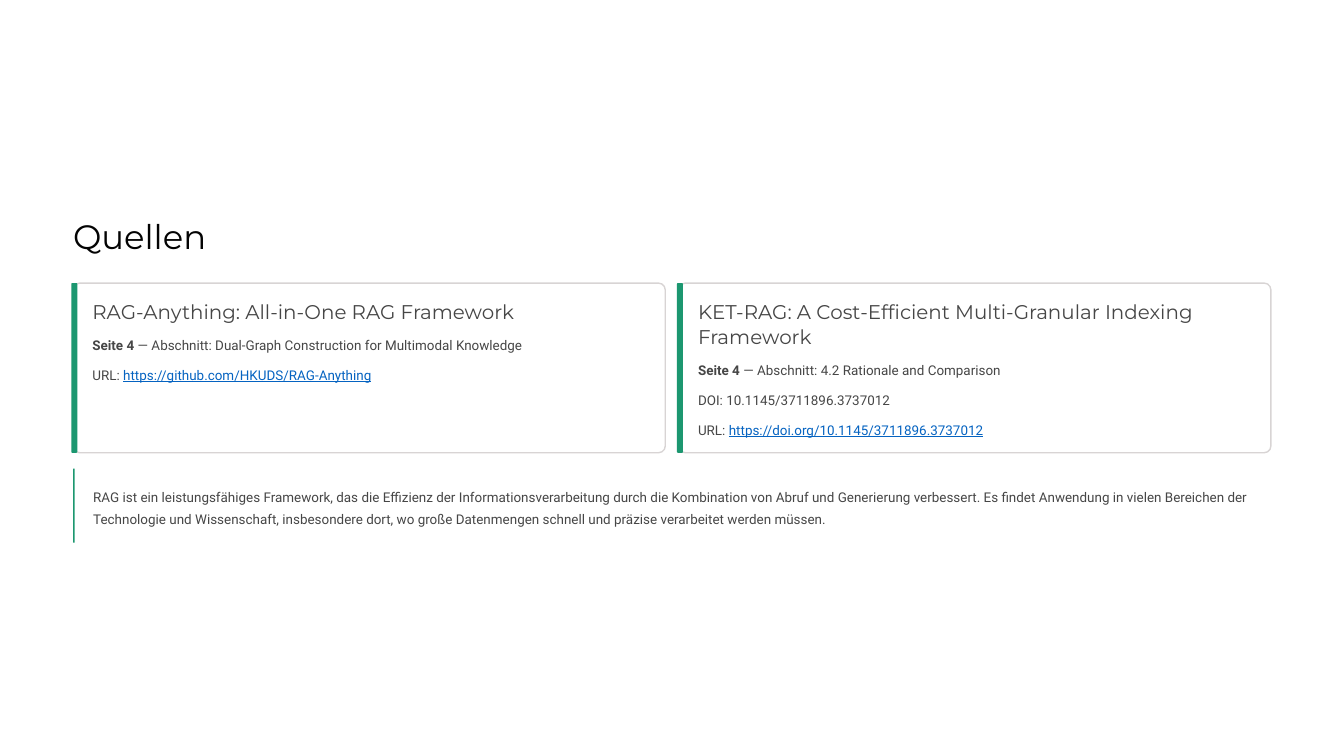
from pptx import Presentation
from pptx.dml.color import RGBColor
from pptx.enum import shapes, text
from pptx.util import Inches, Pt

GREEN, GREY, LINK = "1C9770", "464646", "0563C1"
CARD_WIDTH, CARD_HEIGHT, CARD_PITCH = 7.05, 2.02, 7.21
LEFT, CARD_TOP = 0.87, 3.37
LINE_PITCH = 0.353

# Each card: heading, lines the heading takes, detail lines as (text, style) spans
CARDS = [
    ("RAG-Anything: All-in-One RAG Framework", 1, [
        [("Seite 4", "bold"),
         (" — Abschnitt: Dual-Graph Construction for Multimodal Knowledge", "")],
        [("URL: ", ""), ("https://github.com/HKUDS/RAG-Anything", "link")],
    ]),
    ("KET-RAG: A Cost-Efficient Multi-Granular Indexing Framework", 2, [
        [("Seite 4", "bold"), (" — Abschnitt: 4.2 Rationale and Comparison", "")],
        [("DOI: 10.1145/3711896.3737012", "")],
        [("URL: ", ""), ("https://doi.org/10.1145/3711896.3737012", "link")],
    ]),
]
SUMMARY = (
    "RAG ist ein leistungsfähiges Framework, das die Effizienz der "
    "Informationsverarbeitung durch die Kombination von Abruf und Generierung "
    "verbessert. Es findet Anwendung in vielen Bereichen der Technologie und "
    "Wissenschaft, insbesondere dort, wo große Datenmengen schnell und präzise "
    "verarbeitet werden müssen."
)


def color(value):
    return RGBColor.from_string(value)


def add_block(page, left, top, width, height, fill, corner=None, line=None):
    """Add a filled rectangle, rounded when a corner ratio is given."""
    kind = shapes.MSO_SHAPE.RECTANGLE if corner is None else shapes.MSO_SHAPE.ROUNDED_RECTANGLE
    block = page.shapes.add_shape(
        kind, Inches(left), Inches(top), Inches(width), Inches(height))
    block.shadow.inherit = False
    if corner is not None:
        block.adjustments[0] = corner
    block.fill.solid()
    block.fill.fore_color.rgb = color(fill)
    if line:
        block.line.color.rgb = color(line)
        block.line.width = Pt(1.2)
    else:
        block.line.fill.background()


def add_text(page, left, top, width, height, spans,
             size=11.5, leading=18.5, font="Roboto", tint=GREY):
    """Add one paragraph made of (text, style) spans."""
    box = page.shapes.add_textbox(
        Inches(left), Inches(top), Inches(width), Inches(height))
    frame = box.text_frame
    frame.word_wrap = True
    frame.auto_size = text.MSO_AUTO_SIZE.NONE
    frame.margin_left = frame.margin_right = frame.margin_top = frame.margin_bottom = 0
    para = frame.paragraphs[0]
    para.line_spacing = Pt(leading)
    for words, style in spans:
        span = para.add_run()
        span.text = words
        span.font.name = font
        span.font.size = Pt(size)
        span.font.bold = style == "bold"
        span.font.underline = style == "link"
        span.font.color.rgb = color(LINK if style == "link" else tint)


def add_card(page, left, top, heading, heading_lines, details):
    add_block(page, left, top, CARD_WIDTH, CARD_HEIGHT, "FFFFFF", 0.04, "D8D4D4")
    add_block(page, left - 0.02, top, 0.07, CARD_HEIGHT, GREEN, 0.15)
    text_left, text_top, text_width = left + 0.23, top + 0.18, CARD_WIDTH - 0.4
    heading_height = 0.3 * heading_lines
    add_text(page, text_left, text_top, text_width, heading_height,
             [(heading, "")], 17, 21.5, "Montserrat")
    details_top = text_top + heading_height + 0.1
    for row, spans in enumerate(details):
        add_text(page, text_left, details_top + row * LINE_PITCH, text_width, 0.26, spans)


def add_summary(page, left, top, width, height):
    add_text(page, left + 0.24, top + 0.18, width - 0.24, height - 0.36, [(SUMMARY, "")])
    add_block(page, left, top, 0.02, height, GREEN)


def main():
    deck = Presentation()
    deck.slide_width, deck.slide_height = Inches(16), Inches(9)
    page = deck.slides.add_slide(deck.slide_layouts[6])
    page.background.fill.solid()
    page.background.fill.fore_color.rgb = color("FFFFFF")
    add_text(page, LEFT, 2.55, 4.03, 0.5, [("Quellen", "")], 29, 36, "Montserrat", "030303")
    for column, card in enumerate(CARDS):
        add_card(page, LEFT + column * CARD_PITCH, CARD_TOP, *card)
    add_summary(page, LEFT, 5.58, CARD_PITCH + CARD_WIDTH, 0.88)
    deck.save("out.pptx")


if __name__ == "__main__":
    main()
